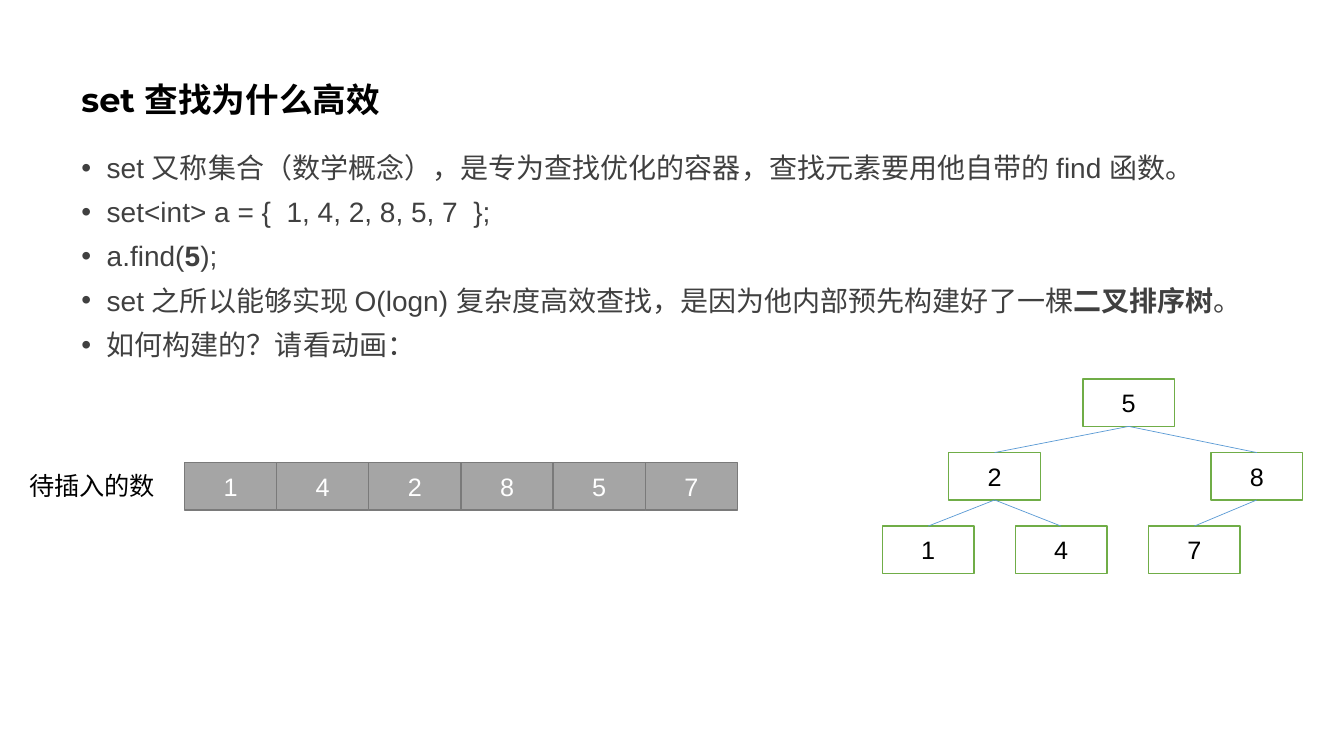
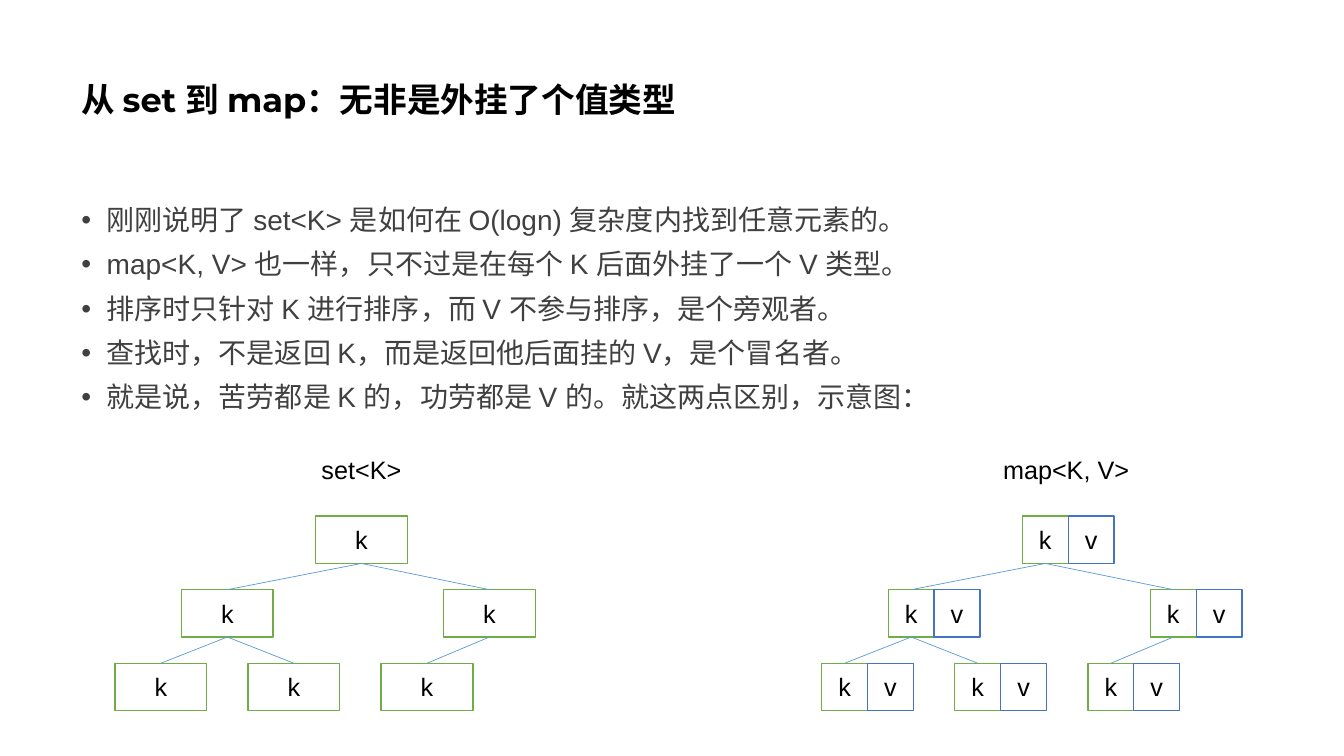
from lxml import etree
from pptx import Presentation
from pptx.dml.color import RGBColor
from pptx.enum.shapes import MSO_CONNECTOR, MSO_SHAPE
from pptx.enum.text import MSO_ANCHOR, MSO_AUTO_SIZE, PP_ALIGN
from pptx.oxml.ns import qn
from pptx.util import Inches, Pt

RECTANGLE, STRAIGHT = MSO_SHAPE.RECTANGLE, MSO_CONNECTOR.STRAIGHT
CENTER, LEFT = PP_ALIGN.CENTER, PP_ALIGN.LEFT
TOP, MIDDLE = MSO_ANCHOR.TOP, MSO_ANCHOR.MIDDLE
FIT_SHAPE = MSO_AUTO_SIZE.SHAPE_TO_FIT_TEXT

# Content: **...** marks bold words
SET_TITLE = "set 查找为什么高效"
SET_POINTS = [
    "set 又称集合（数学概念），是专为查找优化的容器，查找元素要用他自带的 find 函数。",
    "set<int> a = {  1, 4, 2, 8, 5, 7  };",
    "a.find(**5**);",
    "set 之所以能够实现 O(logn) 复杂度高效查找，是因为他内部预先构建好了一棵**二叉排序树**。",
    "如何构建的？请看动画：",
]
QUEUE_LABEL = "待插入的数"
QUEUE = ["1", "4", "2", "8", "5", "7"]
SORTED_TREE = ["5", "2", "8", "1", "4", "7"]

MAP_TITLE = "从 set 到 map：无非是外挂了个值类型"
MAP_POINTS = [
    "刚刚说明了 set<K> 是如何在 O(logn) 复杂度内找到任意元素的。",
    "map<K, V> 也一样，只不过是在每个 K 后面外挂了一个 V 类型。",
    "排序时只针对 K 进行排序，而 V 不参与排序，是个旁观者。",
    "查找时，不是返回 K，而是返回他后面挂的 V，是个冒名者。",
    "就是说，苦劳都是 K 的，功劳都是 V 的。就这两点区别，示意图：",
]

# Shared styles
TITLE_FONT = {"name": "Montserrat", "size": Pt(24), "bold": True}
BODY_FONT = {"name": "Arial", "size": Pt(20)}
LABEL_FONT = {"name": "Arial", "size": Pt(18)}
BLACK, WHITE, BODY_GREY = "000000", "FFFFFF", "404040"
KEY_GREEN, VALUE_BLUE, LINK_BLUE = "70AD47", "4472C4", "5B9BD5"
QUEUE_FILL, QUEUE_LINE = "A5A5A5", "7A7A7A"

# Tree geometry: breadth-first nodes as (offset from root, level), then links
NODE_WIDTH, NODE_HEIGHT, LEVEL_STEP = 0.91, 0.47, 0.73
QUEUE_STEP = 0.914
NODES = [(0, 0), (-1.33, 1), (1.27, 1), (-1.99, 2), (-0.67, 2), (0.65, 2)]
PARENTS = {1: 0, 2: 0, 3: 1, 4: 1, 5: 2}


def color(value):
    return RGBColor.from_string(value)


def write(para, text, font, text_color):
    for index, part in enumerate(text.split("**")):
        if not part:
            continue
        span = para.add_run()
        span.text = part
        for name, value in font.items():
            setattr(span.font, name, value)
        if index % 2:
            span.font.bold = True
        span.font.color.rgb = color(text_color)


def add_text(page, left, top, width, height, lines, font, text_color,
             frame_format, para_format):
    box = page.shapes.add_textbox(*map(Inches, (left, top, width, height)))
    frame = box.text_frame
    for name, value in frame_format.items():
        setattr(frame, name, value)
    for index, line in enumerate(lines):
        para = frame.add_paragraph() if index else frame.paragraphs[0]
        for name, value in para_format.items():
            setattr(para, name, value)
        write(para, line, font, text_color)
    return frame


def add_label(page, left, top, width, text):
    add_text(page, left, top, width, 0.4, [text], LABEL_FONT, BLACK,
             {"word_wrap": False, "auto_size": FIT_SHAPE}, {"alignment": LEFT})


def add_page(deck, title, points, body_top, body_width):
    page = deck.slides.add_slide(deck.slide_layouts[6])
    add_text(page, 0.71, 0.28, 11.5, 1.45, [title], TITLE_FONT, BLACK,
             {"word_wrap": True, "vertical_anchor": MIDDLE}, {"line_spacing": 0.9})
    body = add_text(page, 0.71, body_top, body_width, 4.76, points, BODY_FONT,
                    BODY_GREY, {"word_wrap": True, "vertical_anchor": TOP},
                    {"line_spacing": 0.9, "space_before": Pt(10)})
    # Hanging bullets
    for para in body.paragraphs:
        properties = para._p.get_or_add_pPr()
        properties.set("marL", str(Inches(0.25)))
        properties.set("indent", str(Inches(-0.25)))
        etree.SubElement(properties, qn("a:buFont")).set("typeface", "Arial")
        etree.SubElement(properties, qn("a:buChar")).set("char", "•")
    return page


def add_cell(page, left, top, width, text, fill, line, text_color):
    cell = page.shapes.add_shape(
        RECTANGLE, *map(Inches, (left, top, width, NODE_HEIGHT)))
    cell.shadow.inherit = False
    cell.fill.solid()
    cell.fill.fore_color.rgb = color(fill)
    cell.line.color.rgb = color(line)
    cell.line.width = Pt(1)
    cell.text_frame.vertical_anchor = MIDDLE
    para = cell.text_frame.paragraphs[0]
    para.alignment = CENTER
    write(para, text, LABEL_FONT, text_color)
    return cell


def add_link(page, child, parent):
    link = page.shapes.add_connector(STRAIGHT, 0, 0, 0, 0)
    link.begin_connect(child, 0)
    link.end_connect(parent, 2)
    link.line.color.rgb = color(LINK_BLUE)
    link.line.width = Pt(0.5)
    etree.SubElement(link._element.spPr, qn("a:effectLst"))


def add_tree(page, root_left, root_top, keys, value=None):
    key_width = NODE_WIDTH / 2 if value else NODE_WIDTH
    cells = []
    for key, (offset, level) in zip(keys, NODES):
        left, top = root_left + offset, root_top + level * LEVEL_STEP
        cells.append(add_cell(page, left, top, key_width, key,
                              WHITE, KEY_GREEN, BLACK))
        if value:
            add_cell(page, left + key_width, top, key_width, value,
                     WHITE, VALUE_BLUE, BLACK)
    for child, parent in PARENTS.items():
        add_link(page, cells[child], cells[parent])


def main():
    deck = Presentation()
    deck.slide_width, deck.slide_height = Inches(13.33), Inches(7.5)

    # Why set lookup is fast: queue of numbers and the sorted tree
    page = add_page(deck, SET_TITLE, SET_POINTS, 1.48, 12.09)
    add_label(page, 0.19, 4.62, 1.45, QUEUE_LABEL)
    for index, number in enumerate(QUEUE):
        add_cell(page, 1.83 + index * QUEUE_STEP, 4.59, QUEUE_STEP, number,
                 QUEUE_FILL, QUEUE_LINE, WHITE)
    add_tree(page, 10.74, 3.76, SORTED_TREE)

    # From set to map: key tree beside key-value tree
    page = add_page(deck, MAP_TITLE, MAP_POINTS, 2, 11.5)
    keys = ["k"] * len(NODES)
    add_label(page, 3.09, 4.46, 0.99, "set<K>")
    add_tree(page, 3.13, 5.12, keys)
    add_label(page, 9.85, 4.46, 1.45, "map<K, V>")
    add_tree(page, 10.14, 5.12, keys, "v")

    deck.save("out.pptx")


if __name__ == "__main__":
    main()
